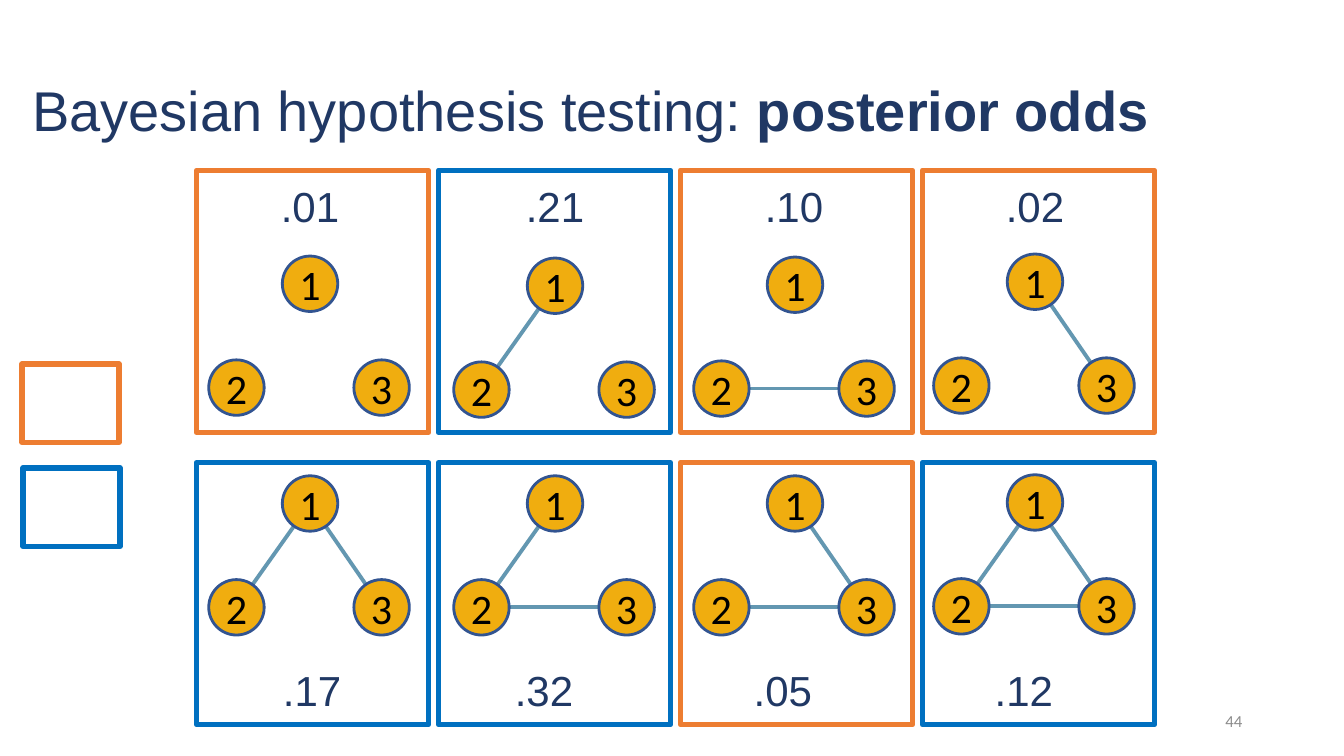
from lxml import etree
from pptx import Presentation
from pptx.dml.color import RGBColor
from pptx.enum import shapes, text
from pptx.oxml.ns import qn
from pptx.util import Inches, Pt

COLORS = {
    "navy": "203864", "orange": "ED7D31", "blue": "0070C0", "edge": "6397B1",
    "node": "F0AD0F", "node line": "325491", "black": "000000", "gray": "8C8C8C",
}
TITLE = [("Bayesian hypothesis testing: ", False), ("posterior odds", True)]
PAGE_NUMBER = "44"

# Each panel: frame colour, posterior, left of its label, top of node 1, edges
ROWS = [
    {"top": 1.69, "label top": 1.74, "panels": [
        ("orange", ".01", 2.68, 2.54, []),
        ("blue", ".21", 5.11, 2.56, [(1, 2)]),
        ("orange", ".10", 7.48, 2.55, [(3, 2)]),
        ("orange", ".02", 9.87, 2.52, [(1, 3)]),
    ]},
    {"top": 4.59, "label top": 6.54, "panels": [
        ("blue", ".17", 2.7, 4.72, [(1, 2), (1, 3)]),
        ("blue", ".32", 5, 4.72, [(3, 2), (1, 2)]),
        ("orange", ".05", 7.37, 4.72, [(3, 2), (1, 3)]),
        ("blue", ".12", 9.76, 4.71, [(3, 2), (1, 2), (1, 3)]),
    ]},
]
LEGEND = [("orange", 0.22, 3.61), ("blue", 0.23, 4.64)]

FRAME_LEFT, FRAME_STEP = 1.95, 2.4
FRAME_SIZE = (2.3, 2.6)
LEGEND_SIZE = (0.96, 0.78)
NODE_SIZE = 0.55
GRAPH_LEFTS = [2.8, 5.23, 7.61, 9.99]
NODE_OFFSETS = {1: (0, 0), 2: (-0.73, 1.03), 3: (0.71, 1.03)}


def color(name):
    return RGBColor.from_string(COLORS[name])


def add_runs(paragraph, runs, size, font_name, color_name):
    for words, bold in runs:
        run = paragraph.add_run()
        run.text = words
        run.font.size = Pt(size)
        run.font.name = font_name
        run.font.bold = bold
        run.font.color.rgb = color(color_name)


def add_text(slide, box, runs, size, font_name, color_name, align, anchor, wrap=True):
    frame = slide.shapes.add_textbox(*map(Inches, box)).text_frame
    frame.word_wrap = wrap
    frame.vertical_anchor = anchor
    paragraph = frame.paragraphs[0]
    paragraph.alignment = align
    add_runs(paragraph, runs, size, font_name, color_name)
    return paragraph


def add_frame(slide, left, top, size, color_name):
    frame = slide.shapes.add_shape(
        shapes.MSO_SHAPE.RECTANGLE, *map(Inches, (left, top, *size)))
    frame.shadow.inherit = False
    frame.fill.background()
    frame.line.color.rgb = color(color_name)
    frame.line.width = Pt(4)


def add_edge(slide, start, end):
    edge = slide.shapes.add_connector(
        shapes.MSO_CONNECTOR.STRAIGHT, *map(Inches, (*start, *end)))
    edge.line.color.rgb = color("edge")
    edge.line.width = Pt(2.75)
    etree.SubElement(edge._element.spPr, qn("a:effectLst"))


def add_node(slide, number, left, top):
    node = slide.shapes.add_shape(
        shapes.MSO_SHAPE.OVAL, *map(Inches, (left, top, NODE_SIZE, NODE_SIZE)))
    node.shadow.inherit = False
    node.fill.solid()
    node.fill.fore_color.rgb = color("node")
    node.line.color.rgb = color("node line")
    node.line.width = Pt(2)
    frame = node.text_frame
    frame.word_wrap = False
    frame.vertical_anchor = text.MSO_ANCHOR.MIDDLE
    frame.paragraphs[0].alignment = text.PP_ALIGN.CENTER
    add_runs(frame.paragraphs[0], [(str(number), False)], 30, "Calibri", "black")


def add_graph(slide, left, top, edges):
    """Draw the edges between node centres, then the three nodes over them."""
    corners = {n: (left + dx, top + dy) for n, (dx, dy) in NODE_OFFSETS.items()}
    centers = {n: (x + NODE_SIZE / 2, y + NODE_SIZE / 2)
               for n, (x, y) in corners.items()}
    for start, end in edges:
        add_edge(slide, centers[start], centers[end])
    for number, corner in corners.items():
        add_node(slide, number, *corner)


def main():
    presentation = Presentation()
    presentation.slide_width = Inches(13.33)
    presentation.slide_height = Inches(7.5)
    slide = presentation.slides.add_slide(presentation.slide_layouts[6])

    title = add_text(slide, (0.22, 0.4, 12.2, 1.45), TITLE, 40, "Arial", "navy",
                     text.PP_ALIGN.LEFT, text.MSO_ANCHOR.MIDDLE)
    title.line_spacing = 0.9

    for row in ROWS:
        for column, panel in enumerate(row["panels"]):
            frame_color, posterior, label_left, graph_top, edges = panel
            add_graph(slide, GRAPH_LEFTS[column], graph_top, edges)
            add_text(slide, (label_left, row["label top"], 0.79, 1.11),
                     [(posterior, False)], 30, "Arial", "navy",
                     text.PP_ALIGN.CENTER, text.MSO_ANCHOR.TOP, wrap=False)
            add_frame(slide, FRAME_LEFT + column * FRAME_STEP, row["top"],
                      FRAME_SIZE, frame_color)

    for color_name, left, top in LEGEND:
        add_frame(slide, left, top, LEGEND_SIZE, color_name)

    add_text(slide, (9.42, 6.95, 3, 0.4), [(PAGE_NUMBER, False)], 12, "Calibri",
             "gray", text.PP_ALIGN.RIGHT, text.MSO_ANCHOR.MIDDLE)
    presentation.save("out.pptx")


if __name__ == "__main__":
    main()
